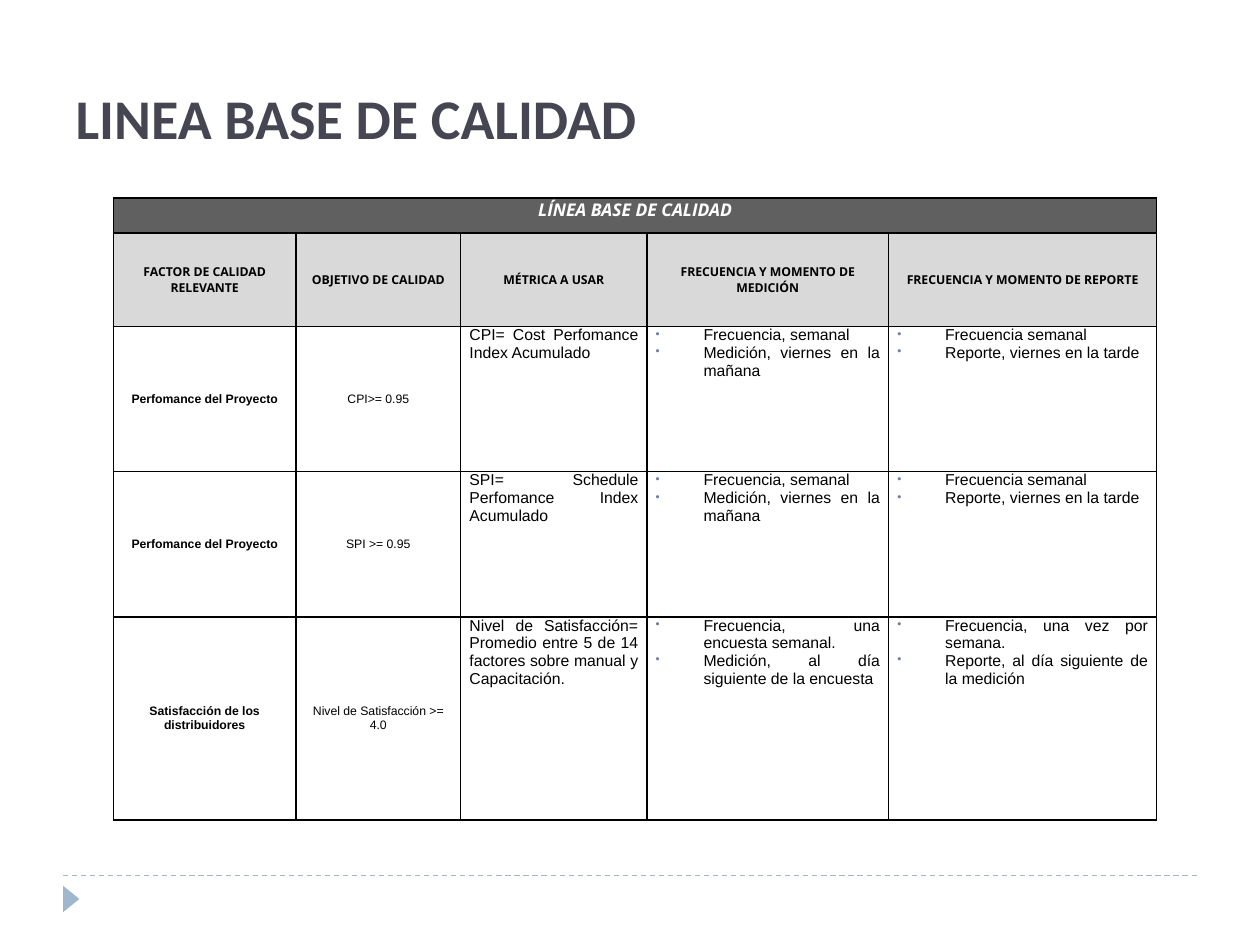
from lxml.etree import SubElement
from pptx import Presentation
from pptx.dml.color import RGBColor
from pptx.enum.dml import MSO_LINE
from pptx.enum.shapes import MSO_CONNECTOR, MSO_SHAPE
from pptx.enum.text import MSO_ANCHOR, PP_ALIGN
from pptx.oxml.ns import qn
from pptx.util import Inches, Pt

BLACK = RGBColor(0x00, 0x00, 0x00)
WHITE = RGBColor(0xFF, 0xFF, 0xFF)
DARK = RGBColor(0x60, 0x60, 0x60)
LIGHT = RGBColor(0xD9, 0xD9, 0xD9)
INK = RGBColor(0x46, 0x46, 0x53)
BLUE = RGBColor(0x9F, 0xB8, 0xCD)
DOT = RGBColor(0x72, 0x7C, 0xA3)

COLS = [1.45, 1.31, 1.48, 1.92, 2.13]
ROWS = [0.28, 0.74, 1.15, 1.15, 1.61]
HEADS = ["FACTOR DE CALIDAD RELEVANTE", "OBJETIVO DE CALIDAD",
         "MÉTRICA A USAR", "FRECUENCIA Y MOMENTO DE MEDICIÓN",
         "FRECUENCIA Y MOMENTO DE REPORTE"]
WEEKLY = ["Frecuencia, semanal\nMedición, viernes en la mañana",
          "Frecuencia semanal\nReporte, viernes en la tarde"]
BODY = [
    ["Perfomance del Proyecto", "CPI>= 0.95",
     "CPI= Cost Perfomance Index Acumulado", *WEEKLY],
    ["Perfomance del Proyecto", "SPI >= 0.95",
     "SPI= Schedule Perfomance Index Acumulado", *WEEKLY],
    ["Satisfacción de los distribuidores", "Nivel de Satisfacción >= 4.0",
     "Nivel de Satisfacción= Promedio entre 5 de 14 factores sobre manual "
     "y Capacitación.",
     "Frecuencia, una encuesta semanal.\n"
     "Medición, al día siguiente de la encuesta",
     "Frecuencia, una vez por semana.\n"
     "Reporte, al día siguiente de la medición"],
]


def style(para, face, size, color, bold=False, slant=False):
    for run in para.runs:
        font = run.font
        font.name, font.size = face, Pt(size)
        font.bold, font.italic = bold, slant
        font.color.rgb = color


def add_dot(para):
    """Give a paragraph a small coloured bullet and a hanging indent."""
    props = para._p.get_or_add_pPr()
    props.set("marL", str(Inches(0.38)))
    props.set("indent", str(-Inches(0.38)))
    tint = SubElement(props, qn("a:buClr"))
    SubElement(tint, qn("a:srgbClr"), val=str(DOT))
    SubElement(props, qn("a:buSzPct"), val="76000")
    SubElement(props, qn("a:buChar"), char="•")


def add_edges(cell):
    props = cell._tc.get_or_add_tcPr()
    for side in ("lnL", "lnR", "lnT", "lnB"):
        edge = SubElement(props, qn("a:" + side), w=str(Pt(1)))
        fill = SubElement(edge, qn("a:solidFill"))
        SubElement(fill, qn("a:srgbClr"), val=str(BLACK))


def fill_cell(cell, text, look, align=PP_ALIGN.CENTER,
              anchor=MSO_ANCHOR.MIDDLE, dots=False):
    cell.text_frame.text = text
    cell.vertical_anchor = anchor
    for para in cell.text_frame.paragraphs:
        para.alignment = align
        style(para, *look)
        if dots:
            add_dot(para)


def add_grid(slide, left, top, width, height):
    grid = slide.shapes.add_table(len(ROWS), len(COLS), left, top,
                                  width, height).table
    for col, share in zip(grid.columns, COLS):
        col.width = int(width * share / sum(COLS))
    for row, share in zip(grid.rows, ROWS):
        row.height = int(height * share / sum(ROWS))
    for cell in grid.iter_cells():
        cell.margin_left = cell.margin_right = Inches(0.07)
        cell.margin_top = cell.margin_bottom = 0
        add_edges(cell)
        cell.fill.background()

    band = grid.cell(0, 0)
    band.merge(grid.cell(0, len(COLS) - 1))
    band.fill.solid()
    band.fill.fore_color.rgb = DARK
    fill_cell(band, "LÍNEA BASE DE CALIDAD",
              ("Open Sans", 10, WHITE, True, True), anchor=MSO_ANCHOR.TOP)

    for c, text in enumerate(HEADS):
        cell = grid.cell(1, c)
        cell.fill.solid()
        cell.fill.fore_color.rgb = LIGHT
        fill_cell(cell, text, ("Open Sans", 7, BLACK, True))

    for r, texts in enumerate(BODY, 2):
        for c, text in enumerate(texts):
            cell = grid.cell(r, c)
            if c < 2:
                fill_cell(cell, text, ("Arial", 7, BLACK, c == 0))
            else:
                fill_cell(cell, text, ("Arial", 9, BLACK), PP_ALIGN.JUSTIFY,
                          MSO_ANCHOR.TOP, dots=c > 2)


def set_title(slide, left, top, width, height):
    title = slide.shapes.title
    title.left, title.top, title.width, title.height = left, top, width, height
    frame = title.text_frame
    frame.text = "LINEA BASE DE CALIDAD"
    frame.vertical_anchor = MSO_ANCHOR.BOTTOM
    para = frame.paragraphs[0]
    para.alignment = PP_ALIGN.LEFT
    style(para, "Calibri", 32, INK, True)


def add_foot(slide, left, top, width):
    """Draw the dashed rule and the arrow mark under its left end."""
    rule = slide.shapes.add_connector(MSO_CONNECTOR.STRAIGHT, left, top,
                                      left + width, top)
    rule.line.color.rgb = BLUE
    rule.line.width = Pt(0.75)
    rule.line.dash_style = MSO_LINE.DASH
    SubElement(rule._element.spPr, qn("a:effectLst"))
    mark = slide.shapes.add_shape(
        MSO_SHAPE.ISOSCELES_TRIANGLE, left - Inches(0.04), top + Inches(0.12),
        Inches(0.21), Inches(0.13))
    mark.rotation = 90
    mark.shadow.inherit = False
    mark.fill.solid()
    mark.fill.fore_color.rgb = BLUE
    mark.line.fill.background()


def main():
    deck = Presentation()
    deck.slide_width, deck.slide_height = Inches(10), Inches(7.5)
    slide = deck.slides.add_slide(deck.slide_layouts[5])
    add_foot(slide, Inches(0.5), Inches(6.95), Inches(9))
    set_title(slide, Inches(0.5), Inches(0.17), Inches(9), Inches(1.08))
    add_grid(slide, Inches(0.9), Inches(1.57), Inches(8.28), Inches(4.94))
    deck.save("out.pptx")


if __name__ == "__main__":
    main()
